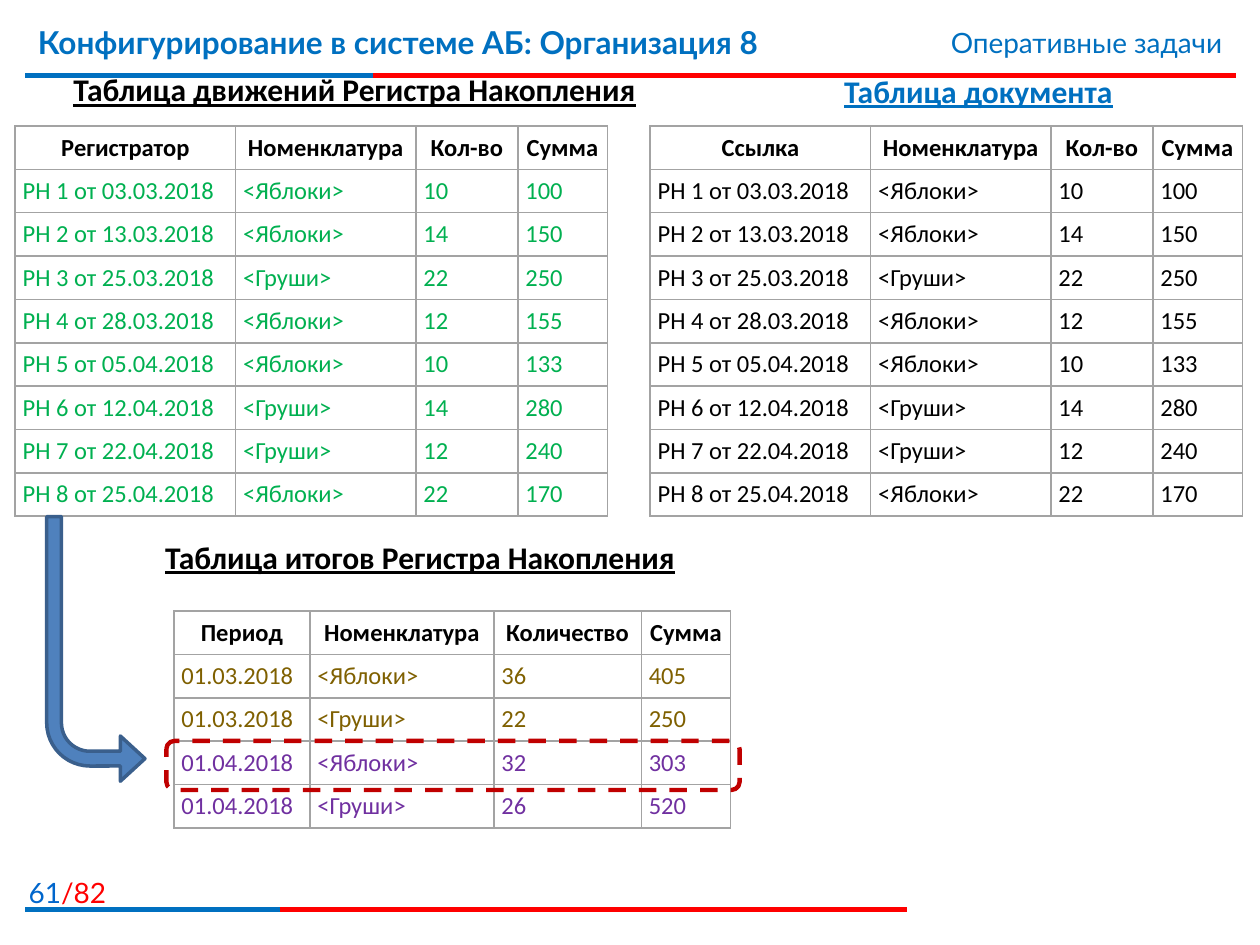
from lxml import etree
from pptx import Presentation
from pptx import util as u
from pptx.dml.color import RGBColor
from pptx.enum import dml, shapes, text
from pptx.oxml import ns

BLUE = RGBColor(0x00, 0x70, 0xC0)
PAGE_BLUE = RGBColor(0x00, 0x66, 0xCC)
RED = RGBColor(0xFF, 0x00, 0x00)
DARK_RED = RGBColor(0xC0, 0x00, 0x00)
BLACK = RGBColor(0x00, 0x00, 0x00)
GREEN = RGBColor(0x00, 0xB0, 0x50)
OLIVE = RGBColor(0x7F, 0x60, 0x00)
PURPLE = RGBColor(0x70, 0x30, 0xA0)
GRID = RGBColor(0xA3, 0xA3, 0xA3)
ARROW_FILL = RGBColor(0x4F, 0x81, 0xBD)
ARROW_LINE = RGBColor(0x3A, 0x5F, 0x8C)

LEFT, CENTER, RIGHT = (text.PP_ALIGN.LEFT, text.PP_ALIGN.CENTER, text.PP_ALIGN.RIGHT)

APPLES, PEARS = "<Яблоки>", "<Груши>"
SALES = [
    ("РН 1 от 03.03.2018", APPLES, "10", "100"),
    ("РН 2 от 13.03.2018", APPLES, "14", "150"),
    ("РН 3 от 25.03.2018", PEARS, "22", "250"),
    ("РН 4 от 28.03.2018", APPLES, "12", "155"),
    ("РН 5 от 05.04.2018", APPLES, "10", "133"),
    ("РН 6 от 12.04.2018", PEARS, "14", "280"),
    ("РН 7 от 22.04.2018", PEARS, "12", "240"),
    ("РН 8 от 25.04.2018", APPLES, "22", "170"),
]
TOTALS = [
    ("01.03.2018", APPLES, "36", "405"),
    ("01.03.2018", PEARS, "22", "250"),
    ("01.04.2018", APPLES, "32", "303"),
    ("01.04.2018", PEARS, "26", "520"),
]
SALES_WIDTHS = (1.75, 1.43, 0.81, 0.71)
TOTALS_WIDTHS = (1.08, 1.46, 1.17, 0.71)
ROW_HEIGHT = u.Inches(3.1 / 9)


def add_run(paragraph, words, size, font, color, bold=False, underline=False):
    run = paragraph.add_run()
    run.text = words
    run.font.size = u.Pt(size)
    run.font.name = font
    run.font.color.rgb = color
    run.font.bold = bold
    run.font.underline = underline


def place(shape, left, top, width, height):
    shape.left, shape.top = u.Inches(left), u.Inches(top)
    shape.width, shape.height = u.Inches(width), u.Inches(height)


def add_label(slide, box, align):
    """Add a text box and return its paragraph, ready for runs."""
    frame = slide.shapes.add_textbox(*map(u.Inches, box)).text_frame
    frame.word_wrap = True
    frame.paragraphs[0].alignment = align
    return frame.paragraphs[0]


def add_heading(slide, words, box, color=BLACK):
    add_run(add_label(slide, box, CENTER), words, 18, "Calibri", color, True, True)


def add_rule(slide, y, red_end, blue_end):
    """Red line with a blue start drawn over it."""
    for end, color in ((red_end, RED), (blue_end, BLUE)):
        rule = slide.shapes.add_connector(
            shapes.MSO_CONNECTOR.STRAIGHT,
            u.Inches(0.2), u.Inches(y), u.Inches(end), u.Inches(y))
        rule.line.color.rgb = color
        rule.line.width = u.Pt(3)
        etree.SubElement(rule.element.spPr, ns.qn("a:effectLst"))


def add_borders(cell):
    properties = cell._tc.get_or_add_tcPr()
    for position, side in enumerate(("lnL", "lnR", "lnT", "lnB")):
        border = etree.Element(ns.qn(f"a:{side}"), w=str(u.Pt(1)))
        fill = etree.SubElement(border, ns.qn("a:solidFill"))
        etree.SubElement(fill, ns.qn("a:srgbClr"), val=str(GRID))
        properties.insert(position, border)


def fill_cell(cell, words, color, header):
    cell.margin_left = cell.margin_right = u.Inches(0.06)
    cell.margin_top = cell.margin_bottom = u.Inches(0.05)
    cell.vertical_anchor = text.MSO_ANCHOR.MIDDLE
    cell.fill.background()
    add_borders(cell)
    paragraph = cell.text_frame.paragraphs[0]
    paragraph.alignment = CENTER if header else LEFT
    add_run(paragraph, words, 14, "Calibri", color, bold=header)


def add_register(slide, left, top, widths, headers, records, colors):
    rows = [headers, *records]
    table = slide.shapes.add_table(
        len(rows), len(widths), u.Inches(left), u.Inches(top),
        u.Inches(sum(widths)), ROW_HEIGHT * len(rows)).table
    table.first_row = table.horz_banding = False
    for column, width in zip(table.columns, widths):
        column.width = u.Inches(width)
    for r, (record, color) in enumerate(zip(rows, [BLACK, *colors])):
        table.rows[r].height = ROW_HEIGHT
        for c, words in enumerate(record):
            fill_cell(table.cell(r, c), words, color, header=r == 0)


def add_outline_shape(slide, kind, box, line_color, line_width):
    shape = slide.shapes.add_shape(kind, *map(u.Inches, box))
    shape.shadow.inherit = False
    shape.line.color.rgb = line_color
    shape.line.width = u.Pt(line_width)
    return shape


def add_flow_arrow(slide):
    arrow = add_outline_shape(slide, shapes.MSO_SHAPE.BENT_ARROW,
                              (0.37, 4.1, 0.78, 2.1), ARROW_LINE, 2)
    arrow.fill.solid()
    arrow.fill.fore_color.rgb = ARROW_FILL
    for i, value in enumerate((0.15, 0.23, 0.25, 0.44)):
        arrow.adjustments[i] = value
    arrow.rotation = 180
    arrow.element.spPr.find(ns.qn("a:xfrm")).set("flipH", "1")


def add_row_highlight(slide):
    highlight = add_outline_shape(slide, shapes.MSO_SHAPE.ROUNDED_RECTANGLE,
                                  (1.32, 5.88, 4.55, 0.39), DARK_RED, 2.5)
    highlight.fill.background()
    highlight.line.dash_style = dml.MSO_LINE.DASH


def add_title(slide, words):
    title = slide.shapes.title
    place(title, 0.2, 0.13, 7.4, 0.62)
    title.text_frame.vertical_anchor = text.MSO_ANCHOR.TOP
    title.text_frame.paragraphs[0].alignment = LEFT
    add_run(title.text_frame.paragraphs[0], words, 18, "Lato", BLUE, bold=True)


def main():
    deck = Presentation()
    deck.slide_width, deck.slide_height = u.Inches(10), u.Inches(7.5)
    slide = deck.slides.add_slide(deck.slide_layouts[5])

    # Header and footer
    add_rule(slide, 0.6, red_end=9.81, blue_end=2.96)
    add_rule(slide, 7.22, red_end=7.2, blue_end=2.22)
    page = add_label(slide, (-0.1, 6.9, 1.04, 0.32), RIGHT)
    add_run(page, "61", 16, "Lato", PAGE_BLUE)
    add_run(page, "/82", 16, "Lato", RED)
    add_title(slide, "Конфигурирование в системе АБ: Организация 8")
    section = add_label(slide, (5.94, 0.15, 3.86, 0.37), RIGHT)
    add_run(section, "Оперативные задачи", 16, "Lato", BLUE)

    # Table headings
    add_heading(slide, "Таблица документа", (5.56, 0.52, 4.41, 0.4), BLUE)
    add_heading(slide, "Таблица движений Регистра Накопления", (0.28, 0.51, 5.07, 0.4))
    add_heading(slide, "Таблица итогов Регистра Накопления", (1.13, 4.22, 4.41, 0.4))

    # Movements, document and totals
    for left, key, color in ((0.12, "Регистратор", GREEN), (5.16, "Ссылка", BLACK)):
        add_register(slide, left, 1, SALES_WIDTHS,
                     (key, "Номенклатура", "Кол-во", "Сумма"),
                     SALES, [color] * len(SALES))
    add_register(slide, 1.38, 4.85, TOTALS_WIDTHS,
                 ("Период", "Номенклатура", "Количество", "Сумма"),
                 TOTALS, [OLIVE, OLIVE, PURPLE, PURPLE])

    # Flow from movements to the highlighted total
    add_flow_arrow(slide)
    add_row_highlight(slide)

    deck.save("out.pptx")


if __name__ == "__main__":
    main()
